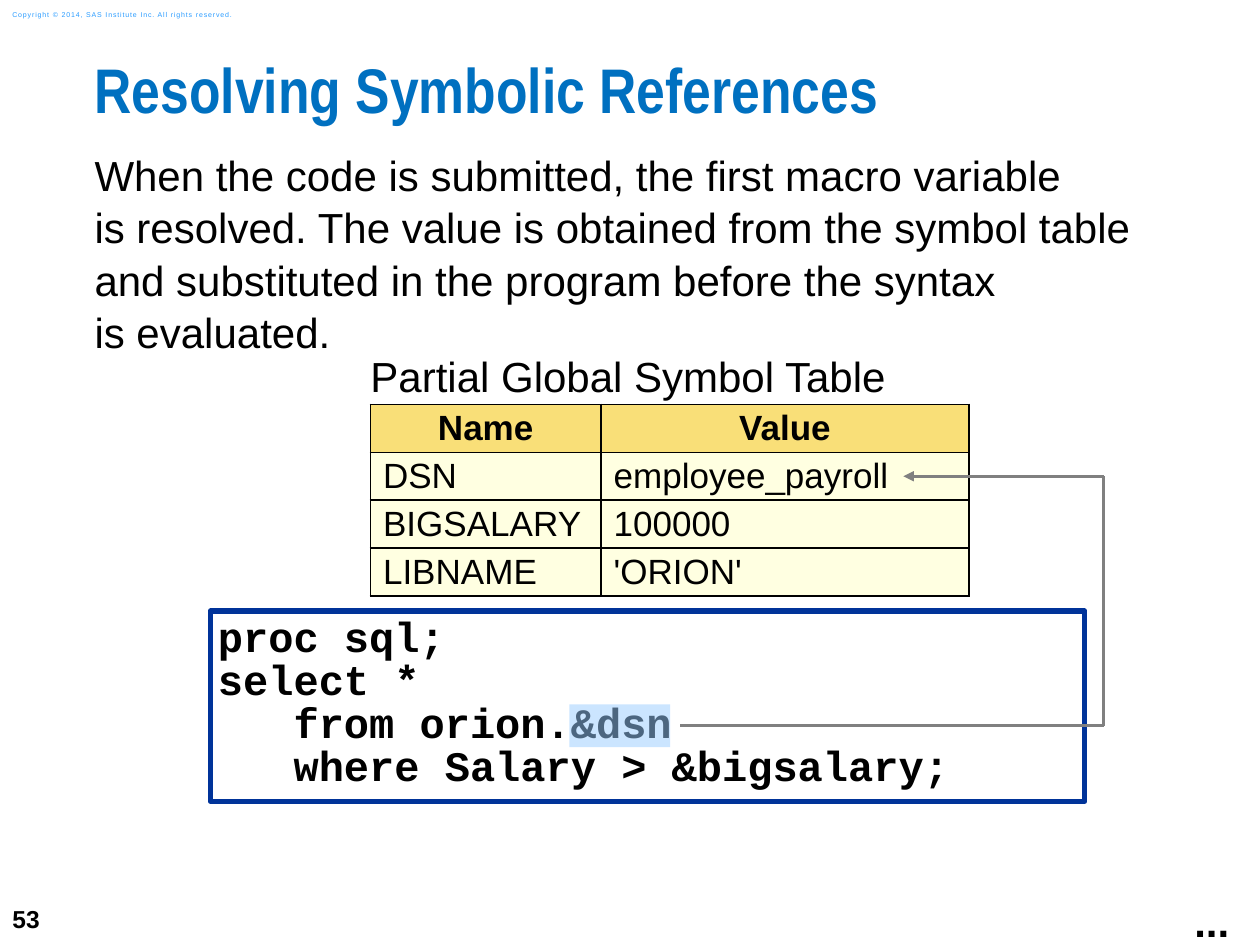
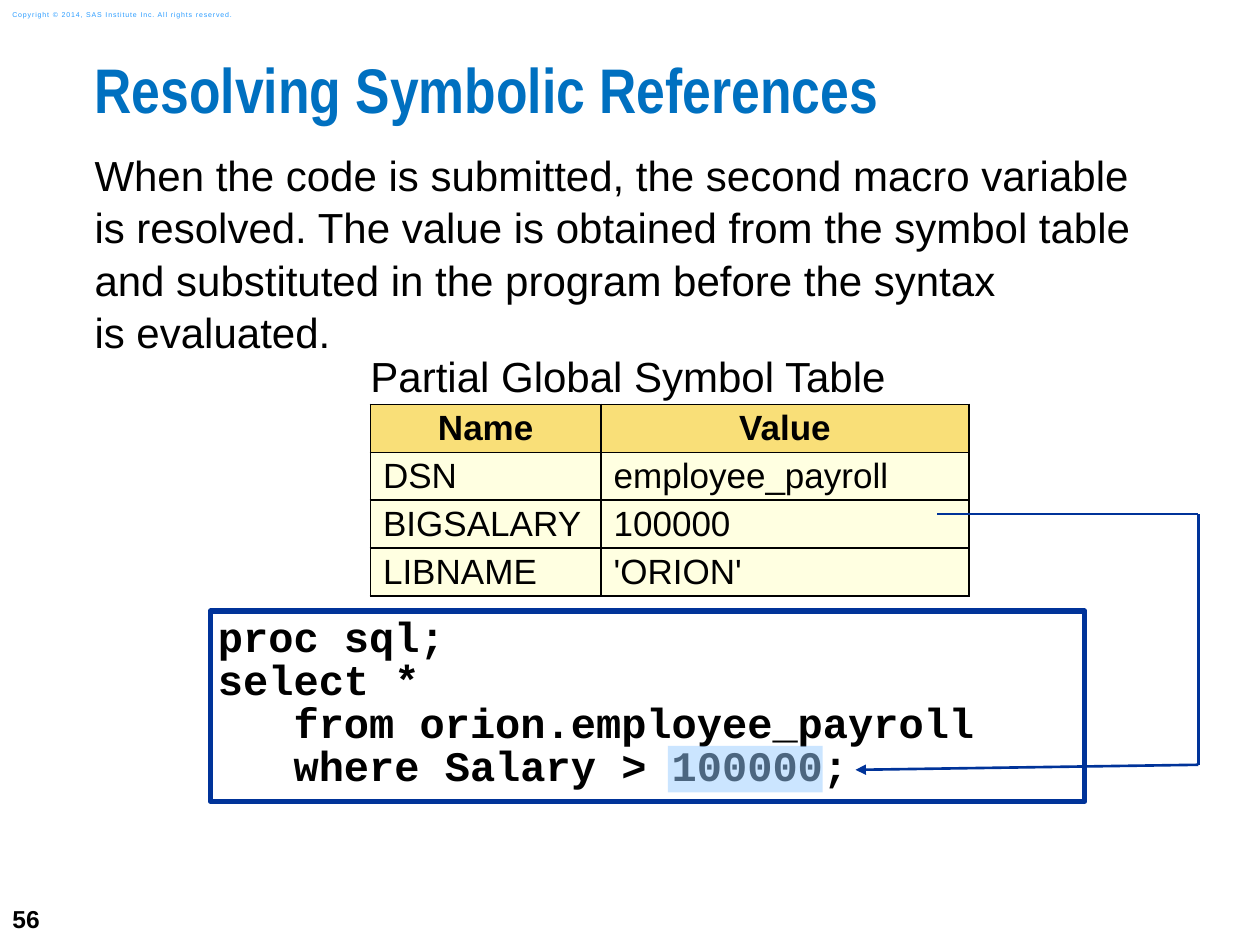
from itertools import pairwise
from lxml.etree import SubElement
from pptx import Presentation
from pptx.dml.color import RGBColor
from pptx.enum.shapes import MSO_CONNECTOR, MSO_SHAPE
from pptx.enum.text import MSO_ANCHOR, PP_ALIGN
from pptx.oxml.ns import qn
from pptx.util import Inches, Pt

BLACK, WHITE, NAVY, GRAY = "000000", "FFFFFF", "003399", "808080"
TITLE, COPYRIGHT, HIGHLIGHT = "0070C0", "2A9CFF", "99CCFF"
HEADER, CELL = "F9DF78", "FFFFE1"
SYMBOLS = [("Name", "Value"), ("DSN", "employee_payroll"),
           ("BIGSALARY", "100000"), ("LIBNAME", "'ORION'")]
BODY = ("When the code is submitted, the {} macro variable \v"
        "is resolved. The value is obtained from the symbol table and "
        "substituted in the program before the syntax \vis evaluated.")
CODE = "proc sql;\nselect *\n   from orion.{}\n   where Salary > {};"


def rgb(color):
    return RGBColor.from_string(color)


def write(tf, text, size=24, color=BLACK, font="Arial", bold=False,
          align=PP_ALIGN.LEFT, spacing=None, tracking=None):
    for i, line in enumerate(text.split("\n")):
        p = tf.paragraphs[0] if i == 0 else tf.add_paragraph()
        p.alignment = align
        if spacing:
            p.line_spacing = spacing
        for j, part in enumerate(line.split("\v")):
            if j:
                p.add_line_break()
            r = p.add_run()
            r.text = part
            r.font.size = Pt(size)
            r.font.name = font
            r.font.bold = bold
            r.font.color.rgb = rgb(color)
            if tracking:
                r.font._element.set("spc", str(tracking))


class Deck:
    def __init__(self):
        self.prs = Presentation()
        self.prs.slide_width = Inches(10)
        self.prs.slide_height = Inches(7.5)

    def slide(self, number):
        self.s = self.prs.slides.add_slide(self.prs.slide_layouts[6])
        self.text(str(number), 0, 7.08, 0.58, 0.42, insets=(0.1, 0.05),
                  anchor=MSO_ANCHOR.MIDDLE, wrap=False, size=14, bold=True)
        self.text("Copyright © 2014, SAS Institute Inc. All rights reserved.",
                  0, 0.03, 2.11, 0.17, insets=(0.1, 0.05),
                  anchor=MSO_ANCHOR.MIDDLE, size=4, color=COPYRIGHT, tracking=50)
        self.text("Resolving Symbolic References", 0.75, 0.5, 9.25, 0.75,
                  size=36, color=TITLE, font="Arial Narrow", bold=True, spacing=0.83)

    def frame(self, tf, insets, anchor=MSO_ANCHOR.TOP, wrap=True):
        tf.margin_left = tf.margin_right = Inches(insets[0])
        tf.margin_top = tf.margin_bottom = Inches(insets[1])
        tf.vertical_anchor = anchor
        tf.word_wrap = wrap

    def text(self, text, x, y, w, h, insets=(0, 0), anchor=MSO_ANCHOR.TOP,
             wrap=True, **fmt):
        box = self.s.shapes.add_textbox(Inches(x), Inches(y), Inches(w), Inches(h))
        self.frame(box.text_frame, insets, anchor, wrap)
        write(box.text_frame, text, **fmt)

    def rect(self, x, y, w, h, fill, line=None, alpha=None):
        sp = self.s.shapes.add_shape(MSO_SHAPE.RECTANGLE, Inches(x), Inches(y),
                                     Inches(w), Inches(h))
        sp.shadow.inherit = False
        sp.fill.solid()
        sp.fill.fore_color.rgb = rgb(fill)
        if alpha:
            clr = sp.fill._xPr.find(".//" + qn("a:srgbClr"))
            SubElement(clr, qn("a:alpha")).set("val", str(alpha * 1000))
        if line:
            sp.line.color.rgb = rgb(line)
            sp.line.width = Pt(3)
        else:
            sp.line.fill.background()
        return sp

    def code(self, text):
        sp = self.rect(1.67, 4.85, 6.94, 1.51, WHITE, NAVY)
        self.frame(sp.text_frame, (0.06, 0.06))
        write(sp.text_frame, text, font="Courier New", bold=True, spacing=0.85)

    def cell(self, cell, text, fill, inset=0.1, edges="LRTB", **fmt):
        cell.margin_left = cell.margin_right = Inches(inset)
        cell.margin_top = cell.margin_bottom = 0
        cell.vertical_anchor = MSO_ANCHOR.MIDDLE
        tcPr = cell._tc.get_or_add_tcPr()
        for edge in "LRTB":
            ln = SubElement(tcPr, qn("a:ln" + edge), w=str(Pt(1)))
            if edge in edges:
                SubElement(SubElement(ln, qn("a:solidFill")),
                           qn("a:srgbClr"), val=BLACK)
            else:
                SubElement(ln, qn("a:noFill"))
        cell.fill.solid()
        cell.fill.fore_color.rgb = rgb(fill)
        if text:
            write(cell.text_frame, text, **fmt)

    def symbol_table(self):
        table = self.s.shapes.add_table(len(SYMBOLS) + 1, 2, Inches(2.94), Inches(2.79),
                                        Inches(4.75), Inches(1.93)).table
        for col, width in zip(table.columns, (1.83, 2.92)):
            col.width = Inches(width)
        for i, row in enumerate(table.rows):
            row.height = Inches(0.38 if i else 0.42)
        table.cell(0, 0).merge(table.cell(0, 1))
        for c, caption in enumerate(("Partial Global Symbol Table", "")):
            self.cell(table.cell(0, c), caption, WHITE, inset=0, edges="B")
        for i, values in enumerate(SYMBOLS):
            head = i == 0
            for c, value in enumerate(values):
                self.cell(table.cell(i + 1, c), value, HEADER if head else CELL,
                          size=20, bold=head,
                          align=PP_ALIGN.CENTER if head else PP_ALIGN.LEFT)

    def arrow(self, points, color):
        for start, end in pairwise(points):
            cx = self.s.shapes.add_connector(MSO_CONNECTOR.STRAIGHT,
                                             *map(Inches, start + end))
            cx.line.color.rgb = rgb(color)
            cx.line.width = Pt(1.5)
            SubElement(cx._element.spPr, qn("a:effectLst"))
        SubElement(cx.line._get_or_add_ln(), qn("a:tailEnd"), type="triangle")

    def resolve(self, number, ordinal, dataset, salary, highlight, route, color):
        self.slide(number)
        self.text(BODY.format(ordinal), 0.75, 1.17, 8.58, 1.83, spacing=1.04)
        self.code(CODE.format(dataset, salary))
        self.rect(*highlight, HIGHLIGHT, alpha=50)
        self.symbol_table()
        self.arrow(route, color)


def main():
    deck = Deck()
    deck.resolve(53, "first", "&dsn", "&bigsalary", (4.52, 5.59, 0.8, 0.34),
                 [(5.4, 5.76), (8.76, 5.76), (8.76, 3.78), (7.17, 3.78)], GRAY)
    deck.text("...", 9.38, 7.06, 0.48, 0.51, insets=(0.1, 0.05), wrap=False, bold=True)
    deck.resolve(56, "second", "employee_payroll", "100000", (5.3, 5.92, 1.23, 0.37),
                 [(7.44, 4.08), (9.51, 4.08), (9.51, 6.07), (6.79, 6.11)], NAVY)
    deck.prs.save("out.pptx")


if __name__ == "__main__":
    main()
